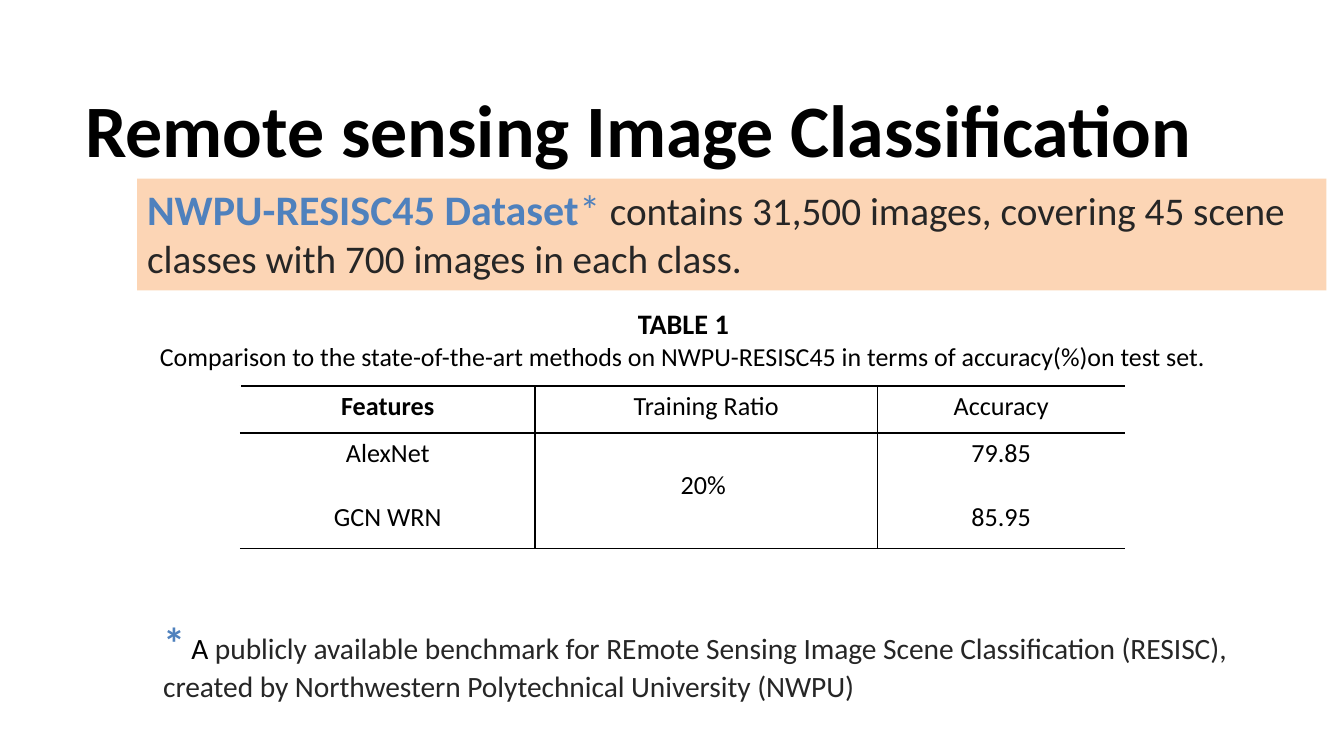
from lxml import etree
from pptx import Presentation
from pptx import util as u
from pptx.dml.color import RGBColor
from pptx.enum import shapes, text
from pptx.oxml.ns import qn

THEME = {
    "font": "Calibri",
    "ink": "000000", "body": "262626", "accent": "4F81BD",
    "banner": "FCD5B5", "paper": "FFFFFF",
    "title": 39.6, "dataset": 22.5, "statement": 21, "star": 23.6,
    "space": 14.7, "note": 15.75, "label": 15.1, "caption": 13.9, "cell": 14,
}

presentation = Presentation()
presentation.slide_width = u.Inches(10)
presentation.slide_height = presentation.slide_width * 9 // 16
slide = presentation.slides.add_slide(presentation.slide_layouts[6])
# Lengths are in percent of the slide's width (columns) and height (rows).
COLUMN, ROW = presentation.slide_width / 100, presentation.slide_height / 100
MARGINS = {"margin_left": 0.74 * COLUMN, "margin_right": 0.74 * COLUMN,
           "margin_top": 0.67 * ROW, "margin_bottom": 0.67 * ROW}


def write(frame, paragraphs, centred=False, gap=0):
    """Fill a frame with paragraphs of (words, size, colour, bold) runs; gap is in points."""
    for index, runs in enumerate(paragraphs):
        paragraph = frame.add_paragraph() if index else frame.paragraphs[0]
        paragraph.alignment = text.PP_ALIGN.CENTER if centred else text.PP_ALIGN.LEFT
        if index and gap:
            paragraph.space_before = u.Pt(gap)
        for words, size, colour, bold in runs:
            run = paragraph.add_run()
            run.text = words
            style = {"name": THEME["font"], "size": u.Pt(THEME[size]), "bold": bold}
            for name, value in style.items():
                setattr(run.font, name, value)
            run.font.color.rgb = RGBColor.from_string(THEME[colour])


def draw_border(cell, side, colour):
    """Draw one cell edge (L, R, T or B); no colour leaves it open."""
    line = etree.SubElement(cell._tc.get_or_add_tcPr(), qn("a:ln" + side), w=str(u.Pt(1)))
    if colour:
        fill = etree.SubElement(line, qn("a:solidFill"))
        etree.SubElement(fill, qn("a:srgbClr"), val=THEME[colour])
    else:
        etree.SubElement(line, qn("a:noFill"))


# Text blocks: left, top, width, height, fill, centred, own margins, paragraphs
blocks = [
    (5.3, 1.6, 93.4, 18.67, None, False,
     {"margin_left": 1.04 * COLUMN, "margin_top": 9.4 * ROW},
     [[("Remote sensing Image Classification", "title", "ink", True)]]),
    (10.2, 23.64, 88.5, 14.76, "banner", False, {},
     [[("NWPU-RESISC45 Dataset", "dataset", "accent", True),
       ("* ", "dataset", "accent", False),
       ("contains 31,500 images, covering 45 scene classes with 700 images in each class.",
        "statement", "body", False)]]),
    (11.4, 80.71, 81.3, 11.2, None, False, {},
     [[("*", "star", "accent", True), (" ", "space", "accent", True),
       ("A", "note", "ink", False),
       (" publicly available benchmark for REmote Sensing Image Scene Classification (RESISC), "
        "created by Northwestern Polytechnical University (NWPU)", "note", "body", False)]]),
    (10.2, 39.9, 81.3, 11.2, None, True, {},
     [[("TABLE 1", "label", "ink", True)],
      [("Comparison to the state-of-the-art methods on NWPU-RESISC45 in terms of "
        "accuracy(%)on test set.", "caption", "ink", False)]]),
]
for left, top, width, height, fill, centred, own_margins, paragraphs in blocks:
    place = [u.Emu(int(n)) for n in (left * COLUMN, top * ROW, width * COLUMN, height * ROW)]
    if fill:
        shape = slide.shapes.add_shape(shapes.MSO_SHAPE.RECTANGLE, *place)
        shape.shadow.inherit = False
        shape.fill.solid()
        shape.fill.fore_color.rgb = RGBColor.from_string(THEME[fill])
        shape.line.fill.background()
    else:
        shape = slide.shapes.add_textbox(*place)
    for name, value in (MARGINS | own_margins).items():
        setattr(shape.text_frame, name, int(value))
    shape.text_frame.word_wrap = True
    shape.text_frame.vertical_anchor = text.MSO_ANCHOR.TOP
    write(shape.text_frame, paragraphs, centred)

# Accuracy table
column_widths, row_heights = [21.9, 25.5, 18.4], [6.22, 15.29]
accuracy = [
    [["Features"], ["Training Ratio"], ["Accuracy"]],
    [["AlexNet", "GCN WRN"], ["20% "], ["79.85", "85.95"]],
]
line_height = 17  # points, one line of cell text
table = slide.shapes.add_table(
    len(row_heights), len(column_widths), int(17.9 * COLUMN), int(51.07 * ROW),
    int(sum(column_widths) * COLUMN), int(sum(row_heights) * ROW)).table
table.first_row = table.horz_banding = False
for column, width in zip(table.columns, column_widths):
    column.width = int(width * COLUMN)
for row, height in zip(table.rows, row_heights):
    row.height = int(height * ROW)

last = len(column_widths) - 1
for r, row in enumerate(accuracy):
    for c, lines in enumerate(row):
        cell = table.cell(r, c)
        for name, value in MARGINS.items():
            setattr(cell, name, int(value))
        if r and len(lines) == 1:
            cell.margin_top += u.Pt(line_height)
        write(cell.text_frame, [[(line, "cell", "ink", line == "Features")] for line in lines],
              centred=True, gap=line_height)
        edges = {"L": "ink" if c else "paper", "R": "ink" if c < last else None,
                 "T": "ink", "B": "ink"}
        for side, colour in edges.items():
            draw_border(cell, side, colour)
        cell.fill.background()

presentation.save("out.pptx")
